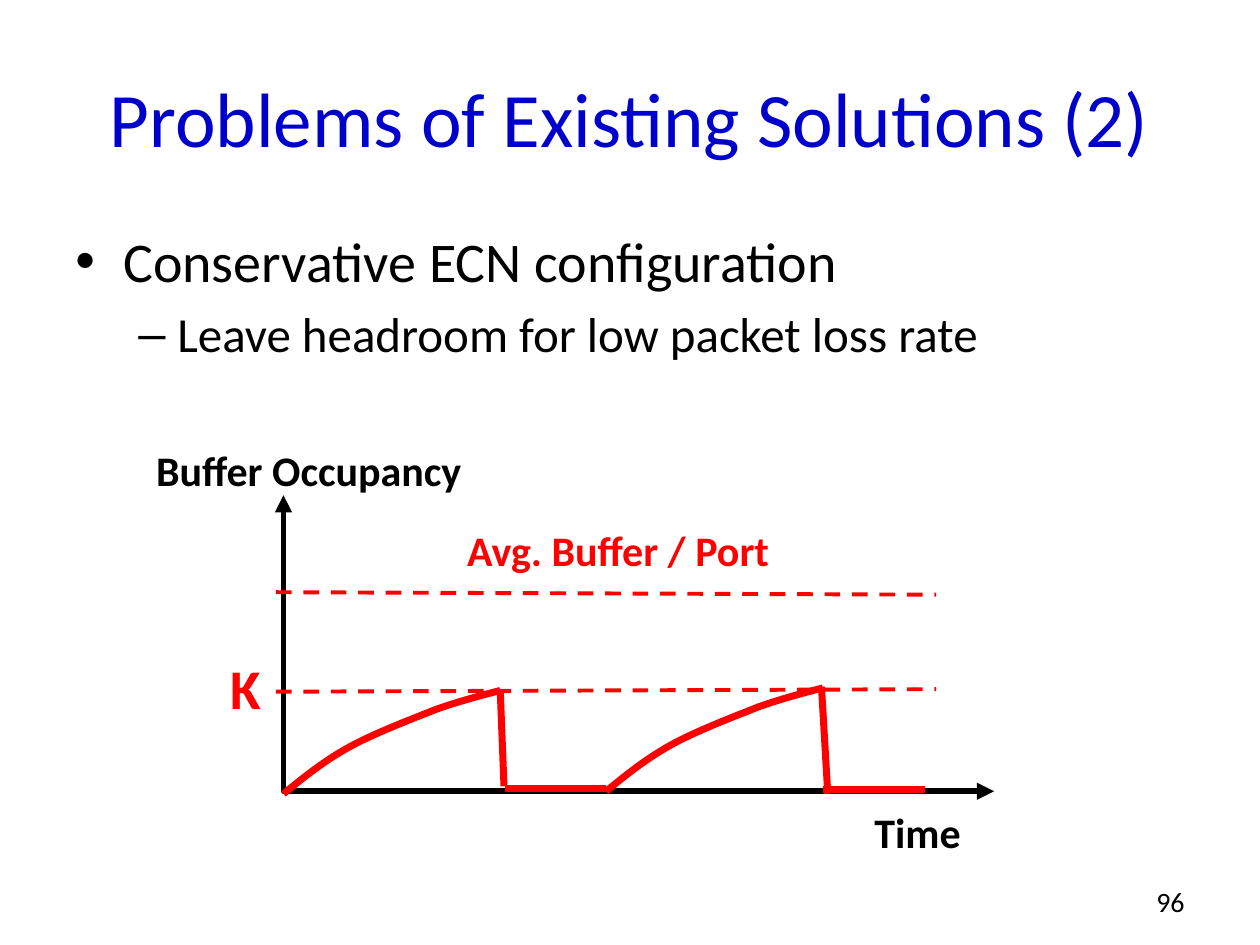
from lxml import etree
from pptx import Presentation, util as u
from pptx.dml.color import RGBColor
from pptx.enum import dml, text
from pptx.oxml.ns import qn

PX = 9144  # EMU per px, 100 px to the inch
BLACK, RED, BLUE = "000000", "FF0000", "0000CC"
LEFT, MID, RIGHT = text.PP_ALIGN.LEFT, text.PP_ALIGN.CENTER, text.PP_ALIGN.RIGHT
RISE = [(0, 0), (16, -13), (32, -26), (52, -37), (72, -48), (101, -59),
        (121, -67), (141, -74), (157, -78), (172, -82)]


def paint(fmt, code):
    """Set a font, fill or line colour from a hex string."""
    fmt.rgb = RGBColor.from_string(code)


def style(para, size, code, bold=False):
    for run in para.runs:
        run.font.name, run.font.size, run.font.bold = "Calibri", u.Pt(size), bold
        paint(run.font.color, code)


def label(slide, box, words, size, code, align=LEFT, bold=False, wrap=True):
    frame = slide.shapes.add_textbox(*(n * PX for n in box)).text_frame
    frame.word_wrap = wrap
    if wrap:
        frame.vertical_anchor = text.MSO_ANCHOR.MIDDLE
    else:
        frame.auto_size = text.MSO_AUTO_SIZE.SHAPE_TO_FIT_TEXT
    para = frame.paragraphs[0]
    para.text, para.alignment = words, align
    style(para, size, code, bold)


def bullets(slide, box, items):
    frame = slide.shapes.add_textbox(*(n * PX for n in box)).text_frame
    frame.word_wrap = True
    for i, (words, size, mark, left, hang) in enumerate(items):
        para = frame.add_paragraph() if i else frame.paragraphs[0]
        para.text, para.level = words, i
        para.space_before = u.Pt(size * 0.2 if i else 0)
        props = para._p.get_or_add_pPr()
        props.set("marL", str(left * PX))
        props.set("indent", str(-hang * PX))
        etree.SubElement(props, qn("a:buFont")).set("typeface", "Arial")
        etree.SubElement(props, qn("a:buChar")).set("char", mark)
        style(para, size, BLACK)


def stroke(shape, code, width):
    paint_line = shape.line
    paint_line.fill.solid()
    paint(paint_line.color, code)
    paint_line.width = u.Pt(width)


def line(slide, start, end, width, dash=False):
    rule = slide.shapes.add_connector(1, *(n * PX for n in (*start, *end)))
    stroke(rule, RED, width)
    if dash:
        rule.line.dash_style = dml.MSO_LINE.DASH
    etree.SubElement(rule._element.spPr, qn("a:effectLst"))


def trace(slide, points, code, width):
    """Draw an open outline through the points."""
    build = slide.shapes.build_freeform(*points[0], scale=PX)
    build.add_line_segments(points[1:], close=False)
    shape = build.convert_to_shape()
    shape.shadow.inherit = False
    shape.fill.background()
    stroke(shape, code, width)
    return shape


def curve(slide, points):
    """Draw Bezier pieces: a start, then two controls and an end for each."""
    shape = trace(slide, points, RED, 4)
    steps = list(shape._element.iter(qn("a:lnTo")))
    for i in range(0, len(steps), 3):
        piece = etree.Element(qn("a:cubicBezTo"))
        steps[i].addprevious(piece)
        for step in steps[i:i + 3]:
            piece.append(step[0])
            step.getparent().remove(step)


def tooth(slide, x, y, drop, flat):
    """Draw one rise, its sudden drop and the idle time after it."""
    curve(slide, [(x + a, y + b) for a, b in RISE])
    for ends in (drop, flat):
        line(slide, *((x + a, y + b) for a, b in ends), 4)


def plot(slide, x, y, w, h):
    """Draw the buffer chart with its axes along the box's left and bottom."""
    axes = trace(slide, [(x, y), (x, y + h), (x + w, y + h)], BLACK, 3.25)
    for end in ("a:headEnd", "a:tailEnd"):
        etree.SubElement(axes.line._get_or_add_ln(), qn(end)).set("type", "triangle")
    tooth(slide, x, y + h + 2, [(172, -83), (175, -6)], [(176, -4), (256, -4)])
    tooth(slide, x + 256, y + h, [(171, -83), (176, 2)], [(172, -1), (253, -1)])
    for top, end in ((156, 154), (77, 79)):
        line(slide, (x - 6, y + top), (x + 518, y + end), 2.25, dash=True)
    for dx, dy, wide, high, words, size, code in (
            (-111, -45, 266, 50, "Buffer Occupancy", 24, BLACK),
            (-52, 121, 45, 64, "K", 32, RED),
            (459, 242, 89, 50, "Time", 24, BLACK),
            (136, 18, 271, 50, "Avg. Buffer / Port", 24, RED)):
        label(slide, (x + dx, y + dy, wide, high), words, size, code,
              bold=True, wrap=False)


def main():
    deck = Presentation()
    deck.slide_width, deck.slide_height = 1000 * PX, 750 * PX
    slide = deck.slides.add_slide(deck.slide_layouts[6])
    label(slide, (0, 30, 1000, 125), "Problems of Existing Solutions (2)",
          44, BLUE, MID)
    bullets(slide, (50, 175, 900, 546), [
        ("Conservative ECN configuration", 32, "•", 38, 38),
        ("Leave headroom for low packet loss rate", 28, "–", 81, 31)])
    label(slide, (717, 695, 233, 40), "96", 16, BLACK, RIGHT)
    plot(slide, 225, 393, 564, 235)
    deck.save("out.pptx")


if __name__ == "__main__":
    main()
